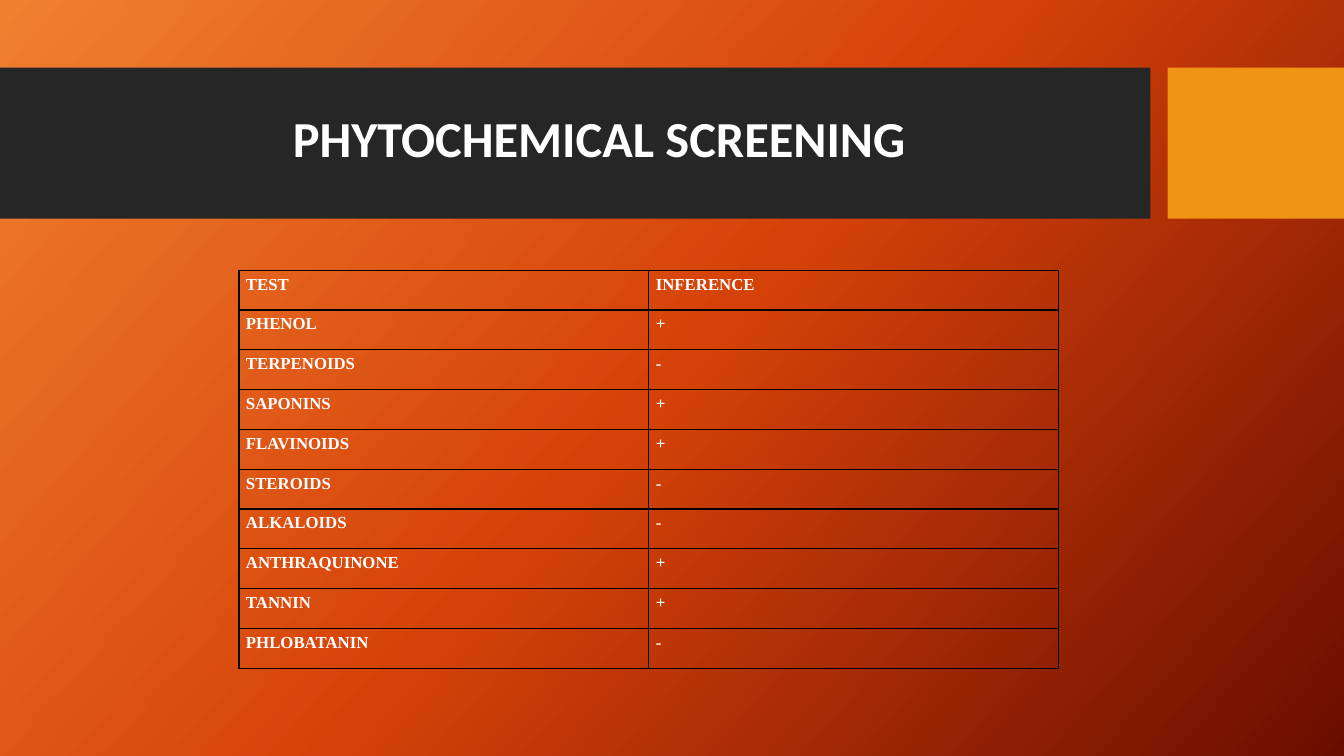
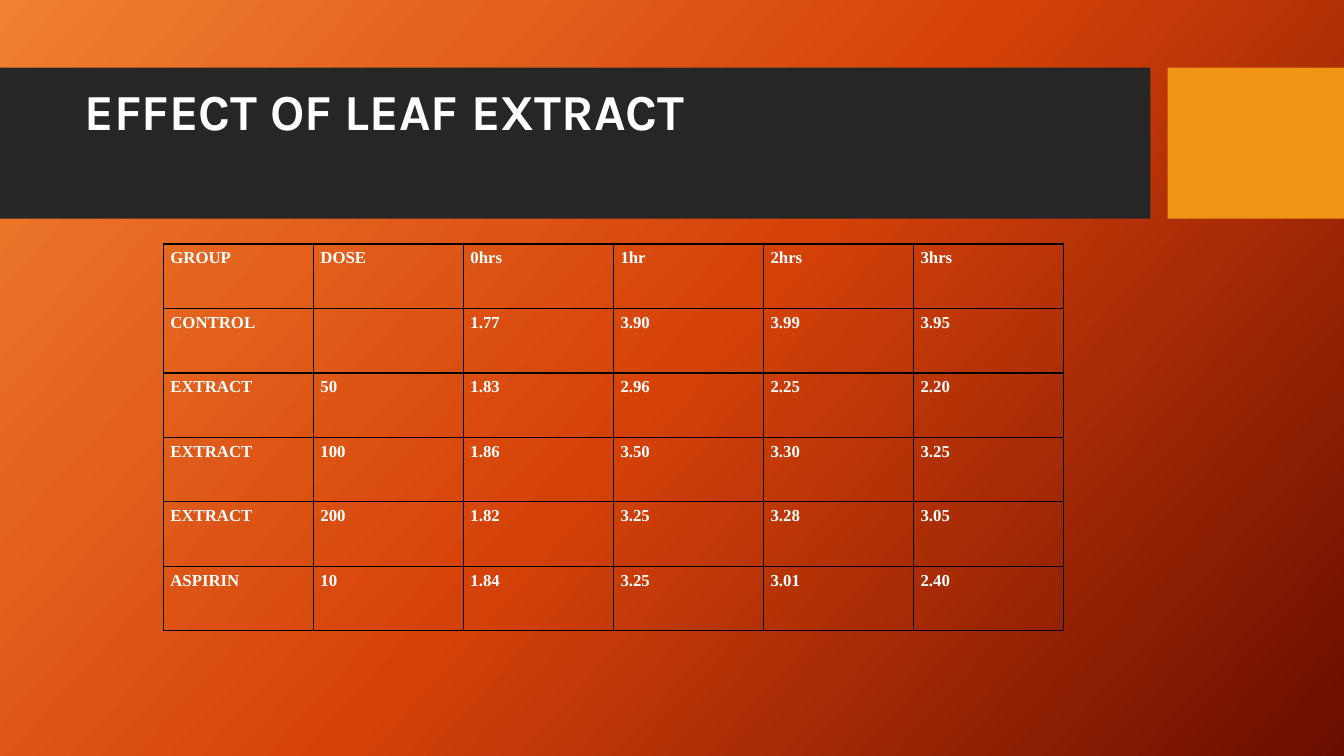
from copy import deepcopy
from dataclasses import dataclass

from lxml.etree import SubElement
from pptx import Presentation
from pptx.dml.color import RGBColor
from pptx.enum.shapes import MSO_SHAPE as SHAPE
from pptx.enum.text import MSO_ANCHOR as ANCHOR, PP_ALIGN as ALIGN
from pptx.oxml.ns import qn
from pptx.util import Inches, Pt


@dataclass(frozen=True)
class Theme:
    gradient: tuple = ((0, "F18031"), (0.5, "D54209"), (1, "6A0D00"))
    gradient_angle: int = 318
    band: str = "262626"
    accent: str = "F09415"
    text: str = "FFFFFF"
    border: str = "000000"
    border_width: int = 1
    title_size: int = 36
    table_size: int = 12
    table_font: str = "Times New Roman"


THEME = Theme()
BAND_TOP, BAND_HEIGHT = 0.67, 1.5
TITLE_LEFT, TITLE_WIDTH, TITLE_HEIGHT = 0.74, 10.51, 1.18
TITLE_MARGINS = {"margin_right": Inches(0.2), "margin_bottom": Inches(0.6)}
CELL_FORMAT = {
    "margin_left": Inches(0.07),
    "margin_right": Inches(0.07),
    "margin_top": Inches(0.05),
    "margin_bottom": Inches(0.05),
}

SCREENING = [
    ("TEST", "INFERENCE"),
    ("PHENOL", "+"),
    ("TERPENOIDS", "-"),
    ("SAPONINS", "+"),
    ("FLAVINOIDS", "+"),
    ("STEROIDS", "-"),
    ("ALKALOIDS", "-"),
    ("ANTHRAQUINONE", "+"),
    ("TANNIN", "+"),
    ("PHLOBATANIN", "-"),
]
LEAF_EXTRACT = [
    ("GROUP", "DOSE", "0hrs", "1hr", "2hrs", "3hrs"),
    ("CONTROL", "", "1.77", "3.90", "3.99", "3.95"),
    ("EXTRACT", "50", "1.83", "2.96", "2.25", "2.20"),
    ("EXTRACT", "100", "1.86", "3.50", "3.30", "3.25"),
    ("EXTRACT", "200", "1.82", "3.25", "3.28", "3.05"),
    ("ASPIRIN", "10", "1.84", "3.25", "3.01", "2.40"),
]


def set_format(target, values):
    for name, value in values.items():
        setattr(target, name, value)


def write(p, text, font, size, align):
    p.alignment = align
    r = p.add_run()
    r.text = text
    set_format(r.font, {"name": font, "size": Pt(size), "bold": True})
    r.font.color.rgb = RGBColor.from_string(THEME.text)


def paint_background(slide):
    fill = slide.background.fill
    fill.gradient()
    fill.gradient_angle = THEME.gradient_angle
    stops = slide.element.find(".//" + qn("a:gsLst"))
    stops.append(deepcopy(stops[-1]))
    for stop, (position, color) in zip(fill.gradient_stops, THEME.gradient):
        stop.position = position
        stop.color.rgb = RGBColor.from_string(color)


def add_band(slide, left, width, color):
    sp = slide.shapes.add_shape(
        SHAPE.RECTANGLE, Inches(left), Inches(BAND_TOP), Inches(width), Inches(BAND_HEIGHT)
    )
    sp.shadow.inherit = False
    sp.fill.solid()
    sp.fill.fore_color.rgb = RGBColor.from_string(color)
    sp.line.fill.background()


def add_title(slide, text, top, font, align):
    sp = slide.shapes.add_textbox(
        Inches(TITLE_LEFT), Inches(top), Inches(TITLE_WIDTH), Inches(TITLE_HEIGHT)
    )
    tf = sp.text_frame
    set_format(tf, {"word_wrap": True, "vertical_anchor": ANCHOR.MIDDLE, **TITLE_MARGINS})
    p = tf.paragraphs[0]
    p.line_spacing = 0.9
    write(p, text, font, THEME.title_size, align)


def add_borders(cell):
    props = cell._tc.get_or_add_tcPr()
    for index, side in enumerate(("a:lnL", "a:lnR", "a:lnT", "a:lnB")):
        line = SubElement(props, qn(side), w=str(Pt(THEME.border_width)))
        props.insert(index, line)
        fill = SubElement(line, qn("a:solidFill"))
        SubElement(fill, qn("a:srgbClr"), val=THEME.border)


def add_grid(slide, rows, left, top, width, height):
    table = slide.shapes.add_table(
        len(rows), len(rows[0]), Inches(left), Inches(top), Inches(width), Inches(height)
    ).table
    set_format(table, {"first_row": False, "horz_banding": False})
    for r, row in enumerate(rows):
        for c, text in enumerate(row):
            cell = table.cell(r, c)
            set_format(cell, CELL_FORMAT)
            cell.fill.background()
            add_borders(cell)
            if text:
                p = cell.text_frame.paragraphs[0]
                write(p, text, THEME.table_font, THEME.table_size, ALIGN.JUSTIFY)


def add_base_slide(prs):
    slide = prs.slides.add_slide(prs.slide_layouts[6])
    paint_background(slide)
    add_band(slide, 0, 11.41, THEME.band)
    add_band(slide, 11.58, 1.75, THEME.accent)
    return slide


def main():
    prs = Presentation()
    prs.slide_width, prs.slide_height = Inches(13.33), Inches(7.5)

    s = add_base_slide(prs)
    add_title(s, "PHYTOCHEMICAL SCREENING", 1.09, "Calibri", ALIGN.CENTER)
    add_grid(s, SCREENING, 2.37, 2.68, 8.13, 3.95)

    s = add_base_slide(prs)
    add_title(s, "EFFECT OF LEAF EXTRACT", 0.82, "Karla", ALIGN.LEFT)
    add_grid(s, LEAF_EXTRACT, 1.62, 2.42, 8.93, 3.84)

    prs.save("out.pptx")


main()
